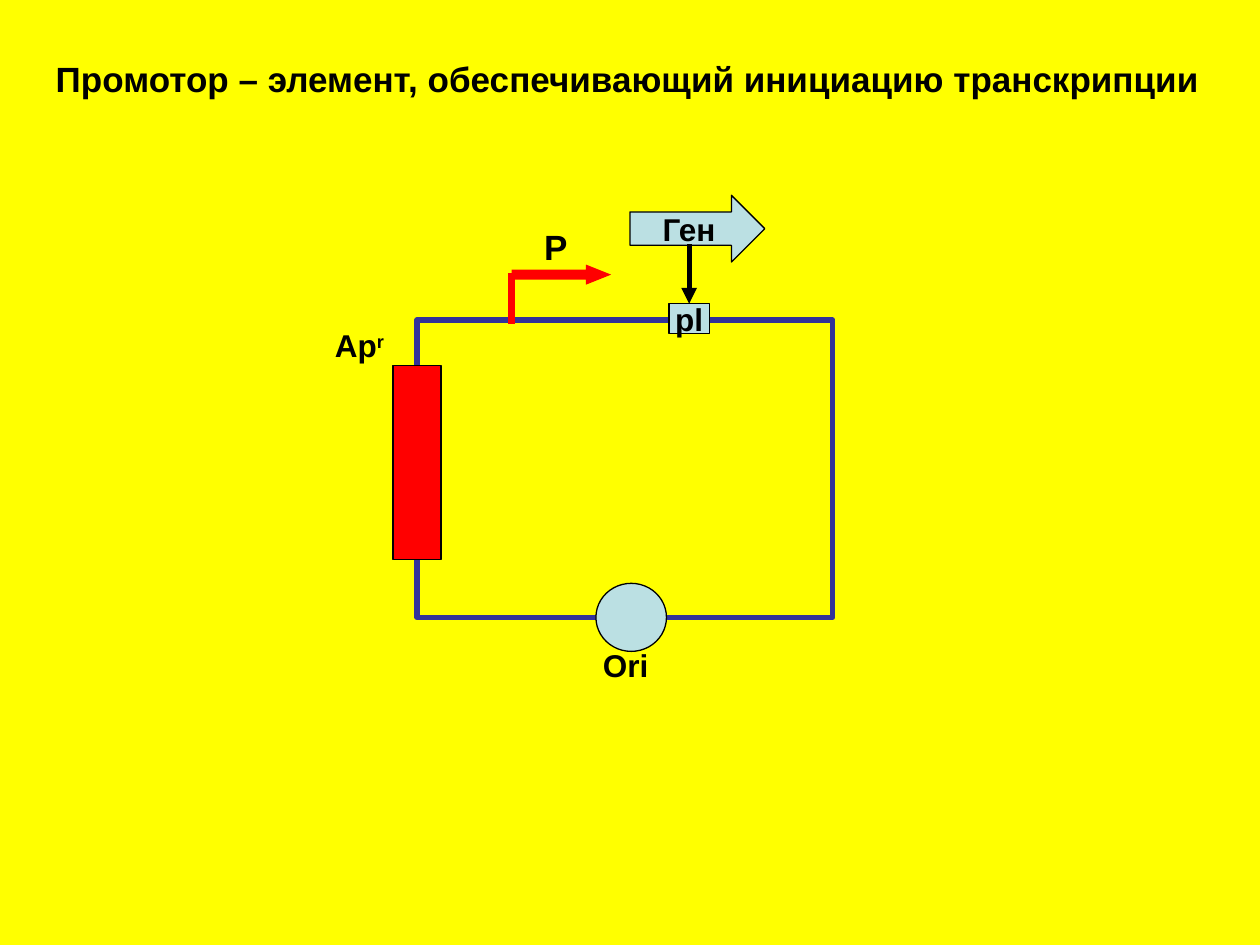
from lxml.etree import SubElement
from pptx import Presentation
from pptx.dml.color import RGBColor
from pptx.enum.shapes import MSO_CONNECTOR, MSO_SHAPE
from pptx.enum.text import MSO_ANCHOR, MSO_AUTO_SIZE, PP_ALIGN
from pptx.oxml.ns import qn
from pptx.util import Inches, Pt

COLORS = {name: RGBColor.from_string(value) for name, value in {
    "background": "FFFF00", "black": "000000", "red": "FF0000",
    "blue": "333399", "pale": "BBE0E3"}.items()}

presentation = Presentation()
presentation.slide_width, presentation.slide_height = Inches(10), Inches(7.5)
column = presentation.slide_width / 100
row = presentation.slide_height / 75

slide = presentation.slides.add_slide(presentation.slide_layouts[5])
slide.background.fill.solid()
slide.background.fill.fore_color.rgb = COLORS["background"]


def write(shape, runs, size, alignment, wrap, anchor, auto_size):
    frame = shape.text_frame
    formats = {"word_wrap": wrap, "vertical_anchor": anchor, "auto_size": auto_size,
               "margin_left": Inches(0.1), "margin_right": Inches(0.1),
               "margin_top": Inches(0.05), "margin_bottom": Inches(0.05)}
    for name, value in formats.items():
        setattr(frame, name, value)
    paragraph = frame.paragraphs[0]
    paragraph.alignment = alignment
    for text in runs:
        run = paragraph.add_run()
        run.text = text
        for name, value in {"name": "Arial", "size": Pt(size), "bold": True}.items():
            setattr(run.font, name, value)
        run.font.color.rgb = COLORS["black"]
    return paragraph


def connect(parent, start, end, color, width):
    connector = parent.shapes.add_connector(
        MSO_CONNECTOR.STRAIGHT, int(start[0] * column), int(start[1] * row),
        int(end[0] * column), int(end[1] * row))
    connector.line.color.rgb = COLORS[color]
    connector.line.width = Pt(width)
    SubElement(connector._element.spPr, qn("a:effectLst"))
    return connector


title = slide.shapes.title
for name, value in {"left": 3.1 * column, "top": 4.1 * row,
                    "width": 93.4 * column, "height": 4.4 * row}.items():
    setattr(title, name, int(value))
write(title, ["Промотор – элемент, обеспечивающий инициацию транскрипции"], 20,
      PP_ALIGN.CENTER, False, MSO_ANCHOR.TOP, MSO_AUTO_SIZE.SHAPE_TO_FIT_TEXT)

plasmid = slide.shapes.add_group_shape()
promoter = slide.shapes.add_group_shape()
connect(promoter, (40.6, 25.7), (40.6, 21.7), "red", 4.5)

parts = [
    (plasmid, MSO_SHAPE.RECTANGLE, (33.1, 25.4, 33, 23.6), None, "blue", 3, None, None),
    (plasmid, MSO_SHAPE.OVAL, (47.3, 46.3, 5.6, 5.4), "pale", "black", 0.75, None, None),
    (plasmid, MSO_SHAPE.RECTANGLE, (31.2, 29, 3.8, 15.4), "red", "black", 0.75, None, None),
    (promoter, MSO_SHAPE.RIGHT_ARROW, (40.6, 21, 7.9, 1.6), "red", None, 0, 1.25, None),
    (slide, MSO_SHAPE.RECTANGLE, (53.1, 24.1, 3.2, 2.4), "pale", "black", 0.75, None, "pl"),
    (slide, MSO_SHAPE.RIGHT_ARROW, (50, 15.5, 10.7, 5.3), "pale", "black", 0.75, 0.5, "Ген"),
]
labelled = {}
for parent, kind, (left, top, width, height), fill, line, weight, head, text in parts:
    shape = parent.shapes.add_shape(kind, int(left * column), int(top * row),
                                    int(width * column), int(height * row))
    shape.shadow.inherit = False
    if fill:
        shape.fill.solid()
        shape.fill.fore_color.rgb = COLORS[fill]
    else:
        shape.fill.background()
    if line:
        shape.line.color.rgb = COLORS[line]
        shape.line.width = Pt(weight)
    else:
        shape.line.fill.background()
    if head:
        shape.adjustments[1] = head
    if text:
        write(shape, [text], 18, PP_ALIGN.CENTER, False, MSO_ANCHOR.MIDDLE, MSO_AUTO_SIZE.NONE)
        labelled[text] = shape

insertion = connect(slide, (54.7, 19.4), (54.7, 24.1), "black", 3)
insertion.end_connect(labelled["pl"], 0)
SubElement(insertion.line._get_or_add_ln(), qn("a:tailEnd"), type="triangle")

labels = [
    (plasmid, (45.4, 50.8, 8.5, 4), ["Ori"], 18, PP_ALIGN.CENTER, True),
    (plasmid, (25.6, 25.4, 8.5, 4), ["Ap", "r"], 18, PP_ALIGN.LEFT, True),
    (slide, (42.2, 17.4, 3.8, 4.4), ["Р"], 20, PP_ALIGN.LEFT, False),
]
for parent, (left, top, width, height), runs, size, alignment, wrap in labels:
    label = parent.shapes.add_textbox(int(left * column), int(top * row),
                                      int(width * column), int(height * row))
    paragraph = write(label, runs, size, alignment, wrap,
                      MSO_ANCHOR.TOP, MSO_AUTO_SIZE.SHAPE_TO_FIT_TEXT)
    for superscript in paragraph.runs[1:]:
        superscript.font._element.set("baseline", "30000")

presentation.save("out.pptx")
